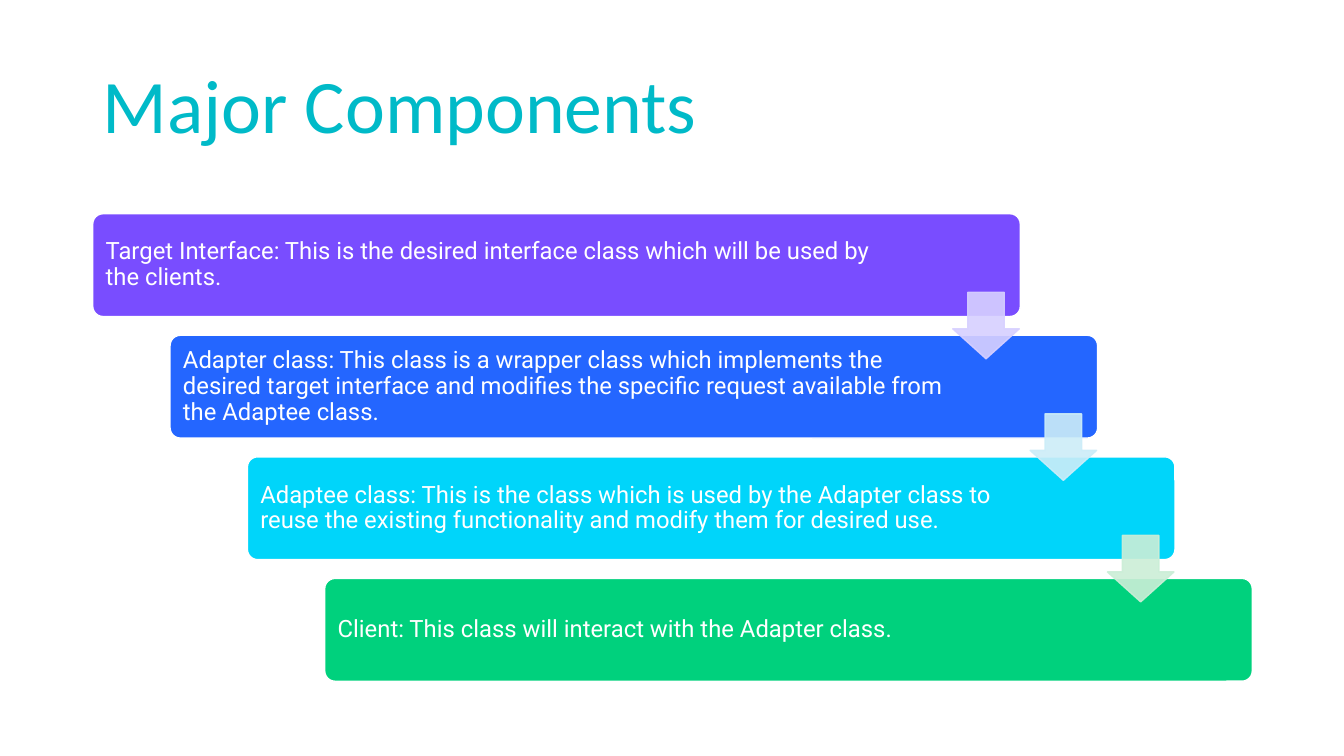
from lxml.etree import SubElement
from pptx import Presentation
from pptx.dml.color import RGBColor
from pptx.enum.shapes import MSO_SHAPE as Shape
from pptx.enum.text import MSO_ANCHOR as Anchor, MSO_AUTO_SIZE as AutoSize, PP_ALIGN as Align
from pptx.oxml.ns import qn
from pptx.util import Inches, Pt

COLOURS = {
    "title": "00BAC8",
    "white": "FFFFFF",
    "violet": "794DFF",
    "blue": "2466FF",
    "cyan": "00D5FA",
    "green": "00D17D",
    "pale violet": "D7D0FF",
    "pale cyan": "CCEDF8",
    "pale green": "CBEED7",
}

STEPS = [
    ("violet", "Target Interface: This is the desired interface class which will be used by the clients."),
    ("blue", "Adapter class: This class is a wrapper class which implements the desired target "
             "interface and modifies the specific request available from the Adaptee class."),
    ("cyan", "Adaptee class: This is the class which is used by the Adapter class to reuse the "
             "existing functionality and modify them for desired use."),
    ("green", "Client: This class will interact with the Adapter class."),
]
ARROWS = ["pale violet", "pale cyan", "pale green"]

LEFT, TOP = 0.92, 2.12
STEP_X, STEP_Y = 0.767, 1.206
BOX_WIDTH, BOX_HEIGHT = 9.2, 1.02
ARROW_LEFT, ARROW_TOP, ARROW_SIZE = 9.45, 2.9, 0.66


def colour(name):
    return RGBColor.from_string(COLOURS[name])


def style_text(frame, text, font, size, colour_name):
    frame.text = text
    frame.word_wrap = True
    para = frame.paragraphs[0]
    para.alignment = Align.LEFT
    para.line_spacing = 0.9
    span = para.runs[0]
    span.font.name = font
    span.font.size = Pt(size)
    span.font.color.rgb = colour(colour_name)


def add_title(page, text):
    title = page.shapes.title
    title.left, title.top = Inches(0.92), Inches(0.4)
    title.width, title.height = Inches(11.67), Inches(1.14)
    frame = title.text_frame
    style_text(frame, text, "Calibri", 54, "title")
    frame.auto_size = AutoSize.NONE
    frame.vertical_anchor = Anchor.BOTTOM


def add_block(page, kind, left, top, width, height, fill, line):
    block = page.shapes.add_shape(kind, Inches(left), Inches(top), Inches(width), Inches(height))
    block.shadow.inherit = False
    block.fill.solid()
    block.fill.fore_color.rgb = colour(fill)
    block.line.color.rgb = colour(line)
    block.line.width = Pt(1)
    return block


def add_step(page, index, fill, text):
    box = add_block(page, Shape.ROUNDED_RECTANGLE, LEFT + index * STEP_X, TOP + index * STEP_Y,
                    BOX_WIDTH, BOX_HEIGHT, fill, "white")
    box.adjustments[0] = 0.1
    frame = box.text_frame
    style_text(frame, text, "Roboto", 17, "white")
    frame.vertical_anchor = Anchor.MIDDLE
    frame.margin_left = frame.margin_top = frame.margin_bottom = Inches(0.1)
    frame.margin_right = Inches(1.45)


def add_arrow(page, index, fill):
    arrow = add_block(page, Shape.DOWN_ARROW, ARROW_LEFT + index * STEP_X,
                      ARROW_TOP + index * STEP_Y, ARROW_SIZE, ARROW_SIZE, fill, fill)
    arrow.adjustments[0] = 0.55
    arrow.adjustments[1] = 0.45
    for tint in arrow._element.spPr.iter(qn("a:srgbClr")):
        SubElement(tint, qn("a:alpha"), val="90000")


def main():
    deck = Presentation()
    deck.slide_width, deck.slide_height = Inches(13.33), Inches(7.5)
    page = deck.slides.add_slide(deck.slide_layouts[5])
    add_title(page, "Major Components")
    for index, (fill, text) in enumerate(STEPS):
        add_step(page, index, fill, text)
    for index, fill in enumerate(ARROWS):
        add_arrow(page, index, fill)
    deck.save("out.pptx")


if __name__ == "__main__":
    main()
